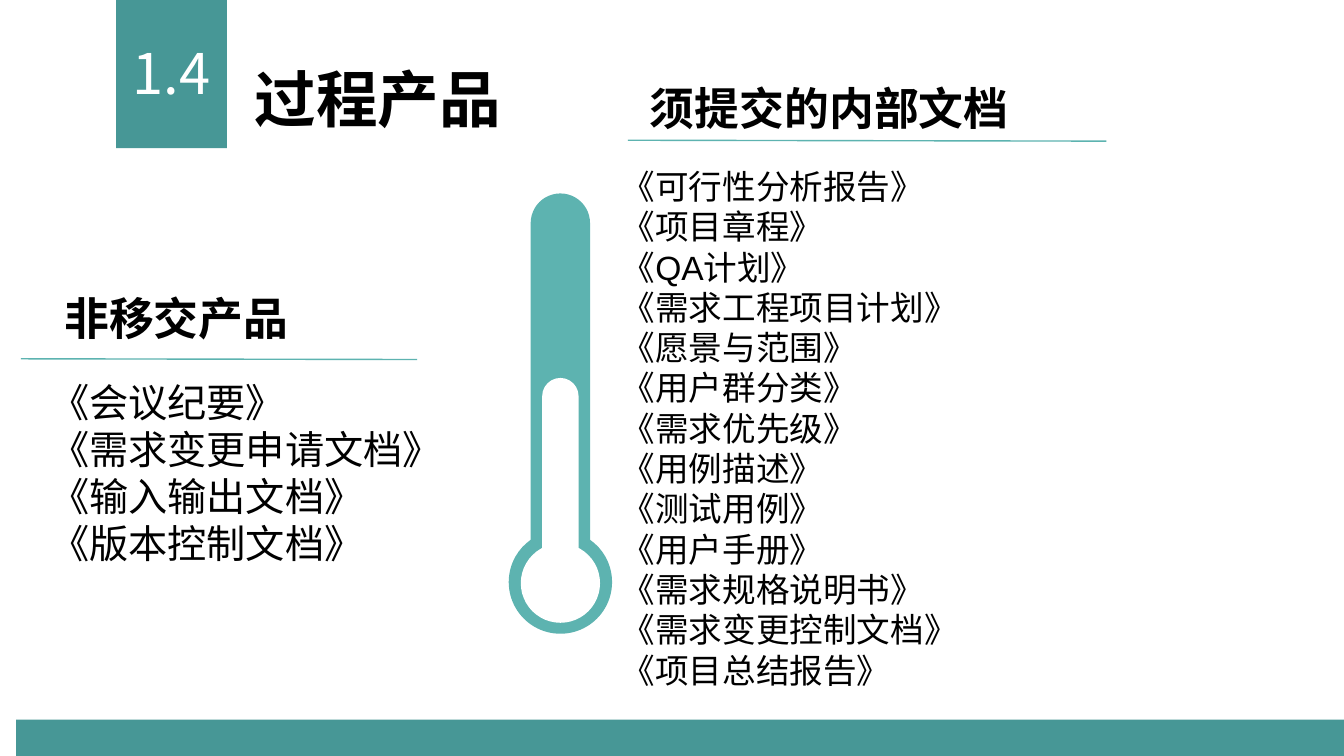
from math import asin, cos, degrees, sin

from lxml.etree import SubElement
from pptx import Presentation
from pptx.dml.color import RGBColor
from pptx.enum.shapes import MSO_CONNECTOR, MSO_SHAPE
from pptx.enum.text import MSO_ANCHOR, PP_ALIGN
from pptx.oxml.ns import qn
from pptx.util import Pt

TEAL = RGBColor(0x47, 0x97, 0x96)
LIGHT_TEAL = RGBColor(0x5D, 0xB3, 0xB0)
WHITE = RGBColor(0xFF, 0xFF, 0xFF)
BLACK = RGBColor(0, 0, 0)
HEAD_FONT = "Noto Sans CJK SC"

SLIDE_W, SLIDE_H = 960, 540
TUBE_X = 400.3


def write(sp, lines, size, font, color=BLACK, bold=False, align=PP_ALIGN.LEFT):
    tf = sp.text_frame
    tf.word_wrap = True
    tf.vertical_anchor = MSO_ANCHOR.TOP
    for i, line in enumerate(lines):
        p = tf.paragraphs[0] if i == 0 else tf.add_paragraph()
        p.alignment = align
        r = p.add_run()
        r.text = line
        r.font.size = Pt(size)
        r.font.name = font
        r.font.bold = bold
        r.font.color.rgb = color
        if font != "Arial":
            SubElement(r.font._element, qn("a:ea")).set("typeface", font)


def thermometer(shapes, top, half, bulb_y, radius, color):
    """Draw a round-topped tube that opens into a round bulb."""
    neck = asin(half / radius)
    neck_y = bulb_y - radius * cos(neck)
    turn = 90 - degrees(neck)
    # Each step: end x from the tube axis, end y, then arc radius, start angle, sweep
    steps = [
        (0, top, (half, 180, 90)),
        (half, top + half, (half, 270, 90)),
        (radius * sin(neck), neck_y, None),
        (radius, bulb_y, (radius, 360 - turn, turn)),
        (0, bulb_y + radius, (radius, 0, 90)),
        (-radius, bulb_y, (radius, 90, 90)),
        (-half, neck_y, (radius, 180, turn)),
    ]
    builder = shapes.build_freeform(Pt(TUBE_X - half), Pt(top + half))
    builder.add_line_segments([(Pt(TUBE_X + x), Pt(y)) for x, y, _ in steps], close=True)
    sp = builder.convert_to_shape()
    segments = list(sp._element.iter(qn("a:lnTo")))
    for segment, (_, _, arc) in zip(segments, steps):
        if arc:
            r, start, sweep = arc
            curve = SubElement(segment.getparent(), qn("a:arcTo"))
            curve.set("wR", str(Pt(r)))
            curve.set("hR", str(Pt(r)))
            curve.set("stAng", str(round(start * 60000)))
            curve.set("swAng", str(round(sweep * 60000)))
            segment.getparent().replace(segment, curve)
    sp.shadow.inherit = False
    sp.fill.solid()
    sp.fill.fore_color.rgb = color
    sp.line.fill.background()


prs = Presentation()
prs.slide_width, prs.slide_height = Pt(SLIDE_W), Pt(SLIDE_H)
slide = prs.slides.add_slide(prs.slide_layouts[5])
shapes = slide.shapes

# Number block and bottom bar
for box in [(83, 0, 79, 105.8), (11.5, 514, SLIDE_W - 11.5, SLIDE_H - 514)]:
    sp = shapes.add_shape(MSO_SHAPE.RECTANGLE, *map(Pt, box))
    sp.shadow.inherit = False
    sp.fill.solid()
    sp.fill.fore_color.rgb = TEAL
    sp.line.fill.background()

title = shapes.title
title.left, title.top, title.width, title.height = Pt(174.7), Pt(39.6), Pt(499), Pt(60.5)
write(title, ["过程产品"], 44, HEAD_FONT, bold=True)

number = shapes.add_textbox(Pt(83.2), Pt(23.8), Pt(79), Pt(55.4))
write(number, ["1.4"], 40, "Noto Sans CJK KR", color=WHITE, align=PP_ALIGN.CENTER)

thermometer(shapes, 138.2, 21.2, 415.8, 36.9, LIGHT_TEAL)
thermometer(shapes, 270, 13, 416.6, 28.3, WHITE)

# Heading, its box, rule (left, top, right, bottom), list box, list size, documents
sections = [
    ("非移交产品", (38.9, 204.1, 215.3, 46), (15, 256.3, 298, 256.8),
     (28.8, 266.4, 298, 177), 28,
     ["《会议纪要》", "《需求变更申请文档》", "《输入输出文档》", "《版本控制文档》"]),
    ("须提交的内部文档", (457.2, 54, 278, 46), (448.5, 100.2, 790.3, 100.8),
     (437, 114.9, SLIDE_W - 437, 385), 24,
     ["《可行性分析报告》", "《项目章程》", "《QA计划》", "《需求工程项目计划》",
      "《愿景与范围》", "《用户群分类》", "《需求优先级》", "《用例描述》",
      "《测试用例》", "《用户手册》", "《需求规格说明书》",
      "《需求变更控制文档》", "《项目总结报告》"]),
]
for heading, head_box, ends, list_box, size, documents in sections:
    rule = shapes.add_connector(MSO_CONNECTOR.STRAIGHT, *map(Pt, ends))
    rule.line.color.rgb = LIGHT_TEAL
    rule.line.width = Pt(1)
    SubElement(rule._element.spPr, qn("a:effectLst"))
    write(shapes.add_textbox(*map(Pt, head_box)), [heading], 32, HEAD_FONT, bold=True)
    write(shapes.add_textbox(*map(Pt, list_box)), documents, size, "Arial")

prs.save("out.pptx")
